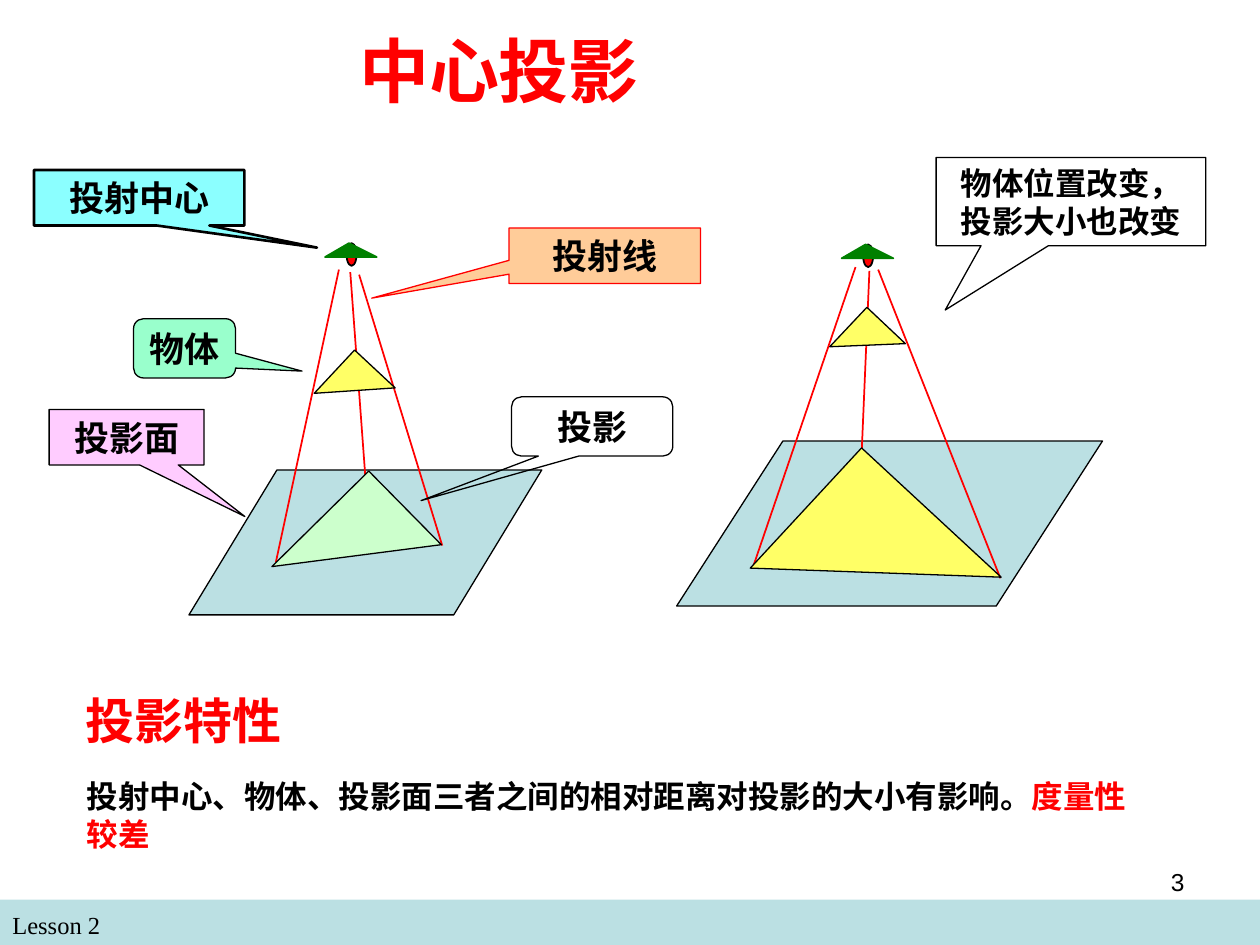
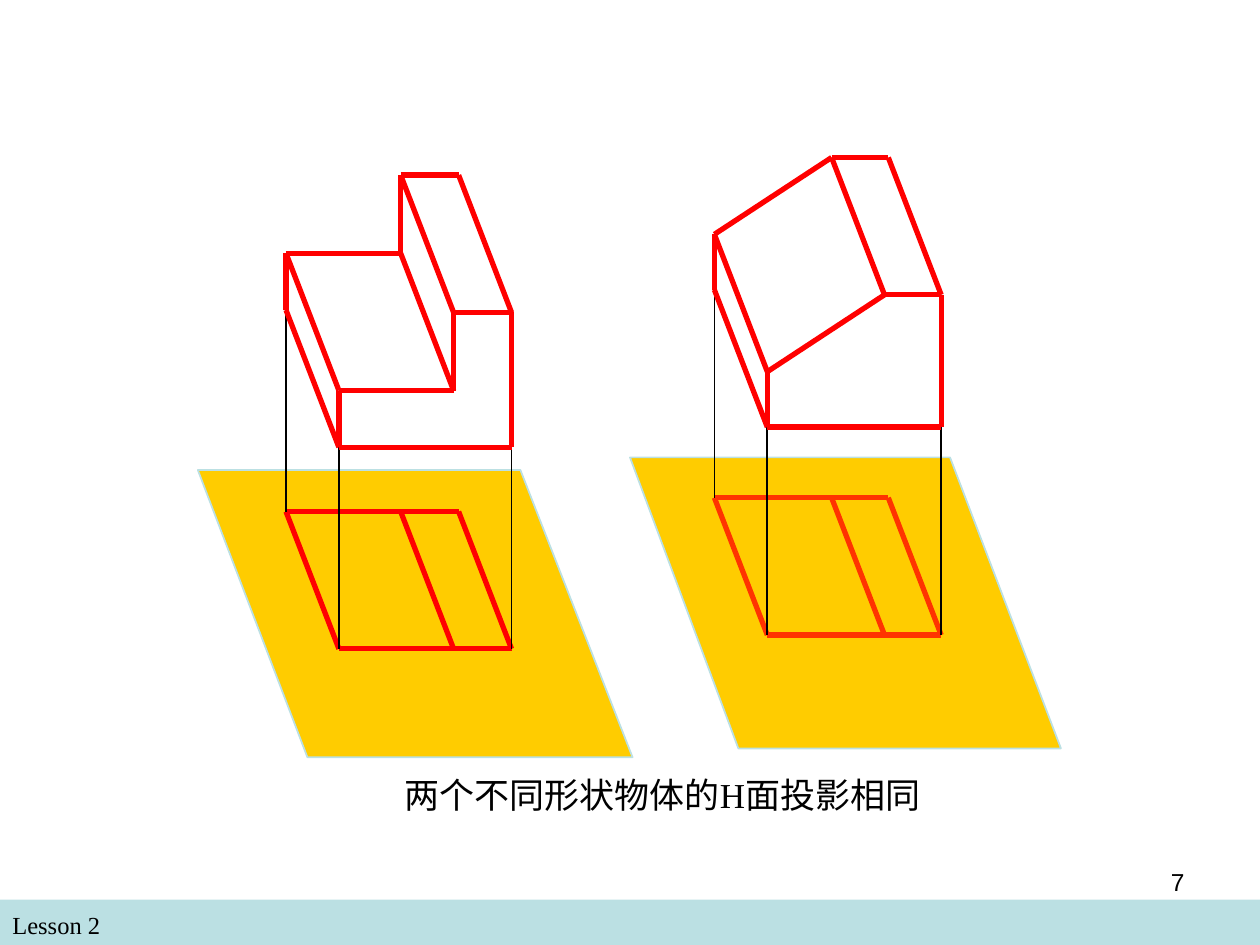
from dataclasses import dataclass
from itertools import pairwise
from typing import NamedTuple, Optional

from lxml.etree import SubElement
from pptx import Presentation
from pptx.dml.color import RGBColor
from pptx.enum.shapes import MSO_CONNECTOR, MSO_SHAPE
from pptx.enum.text import MSO_ANCHOR, MSO_AUTO_SIZE, PP_ALIGN
from pptx.oxml.ns import qn
from pptx.util import Inches, Pt

COLORS = {
    "black": "000000", "red": "FF0000", "orange_red": "FF3300", "green": "008000",
    "band": "BBE0E3", "yellow": "FFFF66", "mint": "CCFFCC", "gold": "FFCC00",
    "cyan": "8BFFFF", "peach": "FFCC99", "aqua": "99FFCC", "pink": "FFCCFF",
}
SERIF, SANS = "Times New Roman", "Arial"
DEPTH = (0.42, 1.09)


class Point(NamedTuple):
    x: float
    y: float

    def deeper(self) -> "Point":
        return Point(self.x + DEPTH[0], self.y + DEPTH[1])


class Box(NamedTuple):
    left: float
    top: float
    width: float
    height: float

    def lengths(self) -> list:
        return [Inches(value) for value in self]


class Run(NamedTuple):
    text: str
    size: float
    color: str = "black"
    bold: bool = False
    font: str = SERIF


@dataclass
class Triangle:
    box: Box
    rotation: float
    fill: str


@dataclass
class CentralProjection:
    lamp: Point
    plane: Box
    slant: float
    rays: list[tuple[Point, Point]]
    image: Triangle
    body: Triangle


@dataclass
class Callout:
    text: str
    box: Box
    adjustments: tuple
    fill: Optional[str] = None
    line: str = "black"
    line_width: float = 0.75
    size: float = 20
    wrap: bool = True


@dataclass
class Solid:
    """A prism seen from above; profile runs along the rear face, bottom left first."""
    profile: list[Point]
    footprint_top: float
    footprint_color: str
    plane: list[Point]


SCENES = [
    CentralProjection(
        Point(6.68, 1.94), Box(5.37, 3.5, 3.38, 1.31), 0.644,
        [(Point(6.9, 2.15), Point(6.82, 4.04)), (Point(6.79, 2.12), Point(5.98, 4.49)),
         (Point(6.97, 2.14), Point(7.94, 4.59))],
        Triangle(Box(6.3, 3.79, 1.3, 1.51), 132.8, "yellow"),
        Triangle(Box(6.67, 2.53, 0.43, 0.42), 133.3, "yellow")),
    CentralProjection(
        Point(2.58, 1.93), Box(1.5, 3.73, 2.8, 1.15), 0.607,
        [(Point(2.69, 2.14), Point(2.19, 4.46)), (Point(2.85, 2.18), Point(3.51, 4.33)),
         (Point(2.78, 2.16), Point(2.94, 4.33))],
        Triangle(Box(2.29, 4, 1.08, 0.82), 135.4, "mint"),
        Triangle(Box(2.58, 2.88, 0.47, 0.44), 133, "yellow")),
]

CALLOUTS = [
    Callout("物体位置改变，投影大小也改变", Box(7.43, 1.25, 2.14, 0.7), (-0.466, 1.23), size=18),
    Callout("投射线", Box(4.04, 1.81, 1.52, 0.44), (-1.217, 0.765), "peach", "red"),
    Callout("投射中心", Box(0.27, 1.35, 1.67, 0.44), (0.845, 0.899), "cyan", line_width=1.5),
    Callout("物体", Box(1.06, 2.53, 0.81, 0.47), (1.151, 0.385, 0.167), "aqua", wrap=False),
    Callout("投影面", Box(0.39, 3.25, 1.23, 0.44), (0.763, 1.43), "pink"),
    Callout("投影", Box(4.06, 3.15, 1.28, 0.47), (-1.061, 1.252, 0.167)),
]

SOLIDS = [
    Solid([Point(2.27, 2.46), Point(2.27, 2.01), Point(3.18, 2.01), Point(3.18, 1.39),
           Point(3.64, 1.39)], 4.06, "red",
          [Point(2.44, 6.01), Point(5.02, 6.01), Point(4.13, 3.73), Point(1.57, 3.73)]),
    Solid([Point(5.67, 2.3), Point(5.67, 1.86), Point(6.6, 1.25), Point(7.05, 1.25)],
          3.95, "orange_red",
          [Point(5.86, 5.94), Point(8.42, 5.94), Point(7.54, 3.63), Point(5, 3.63)]),
]


def rgb(name: str) -> RGBColor:
    return RGBColor.from_string(COLORS[name])


def style_shape(shape, fill: Optional[str], line: Optional[str], width: float = 0.75) -> None:
    shape.shadow.inherit = False
    if fill:
        shape.fill.solid()
        shape.fill.fore_color.rgb = rgb(fill)
    else:
        shape.fill.background()
    if line:
        shape.line.color.rgb = rgb(line)
        shape.line.width = Pt(width)
    else:
        shape.line.fill.background()


def write(shape, runs: list[Run], align=PP_ALIGN.LEFT, anchor=MSO_ANCHOR.TOP,
          wrap: bool = True) -> None:
    frame = shape.text_frame
    frame_format = {"word_wrap": wrap, "auto_size": MSO_AUTO_SIZE.NONE,
                    "vertical_anchor": anchor}
    for name, value in frame_format.items():
        setattr(frame, name, value)
    paragraph = frame.paragraphs[0]
    paragraph.alignment = align
    for item in runs:
        run = paragraph.add_run()
        run.text = item.text
        font_format = {"name": item.font, "size": Pt(item.size), "bold": item.bold}
        for name, value in font_format.items():
            setattr(run.font, name, value)
        run.font.color.rgb = rgb(item.color)


def add_text(slide, box: Box, runs: list[Run], **layout) -> None:
    write(slide.shapes.add_textbox(*box.lengths()), runs, **layout)


def add_preset(slide, kind, box: Box, fill: Optional[str], line: Optional[str],
               width: float = 0.75, adjustments: tuple = (), rotation: float = 0):
    shape = slide.shapes.add_shape(kind, *box.lengths())
    style_shape(shape, fill, line, width)
    for index, value in enumerate(adjustments):
        shape.adjustments[index] = value
    shape.rotation = rotation
    return shape


def add_line(slide, start: Point, end: Point, color: str, width: float) -> None:
    ends = [Inches(value) for value in (*start, *end)]
    connector = slide.shapes.add_connector(MSO_CONNECTOR.STRAIGHT, *ends)
    connector.line.color.rgb = rgb(color)
    connector.line.width = Pt(width)
    SubElement(connector._element.spPr, qn("a:effectLst"))


def add_polygon(slide, points: list[Point], fill: str, line: str, width: float) -> None:
    first, *others = [(Inches(point.x), Inches(point.y)) for point in points]
    builder = slide.shapes.build_freeform(*first)
    builder.add_line_segments(others, close=True)
    style_shape(builder.convert_to_shape(), fill, line, width)


def add_footer(slide, number: int) -> None:
    add_preset(slide, MSO_SHAPE.RECTANGLE, Box(0, 7.14, 10, 0.36), "band", None)
    add_text(slide, Box(0, 7.17, 4.83, 0.34), [Run("Lesson 2", 14)])
    add_text(slide, Box(7.17, 6.83, 2.33, 0.52), [Run(str(number), 14, font=SANS)],
             align=PP_ALIGN.RIGHT)


def add_triangle(slide, triangle: Triangle) -> None:
    add_preset(slide, MSO_SHAPE.RIGHT_TRIANGLE, triangle.box, triangle.fill, "black",
               rotation=triangle.rotation)


def add_scene(slide, scene: CentralProjection) -> None:
    left, top = scene.lamp
    add_preset(slide, MSO_SHAPE.OVAL, Box(left + 0.17, top, 0.08, 0.18), "red", "black", 1)
    add_preset(slide, MSO_SHAPE.ISOSCELES_TRIANGLE, Box(left, top, 0.41, 0.11),
               "green", "green", 1, (0.463,))
    add_preset(slide, MSO_SHAPE.PARALLELOGRAM, scene.plane, "band", "black",
               adjustments=(scene.slant,))
    for start, end in scene.rays:
        add_line(slide, start, end, "red", 1)
    add_triangle(slide, scene.image)
    add_triangle(slide, scene.body)


def add_callout(slide, callout: Callout) -> None:
    rounded = len(callout.adjustments) == 3
    kind = MSO_SHAPE.ROUNDED_RECTANGULAR_CALLOUT if rounded else MSO_SHAPE.RECTANGULAR_CALLOUT
    shape = add_preset(slide, kind, callout.box, callout.fill, callout.line,
                       callout.line_width, callout.adjustments)
    write(shape, [Run(callout.text, callout.size, bold=True)], PP_ALIGN.CENTER,
          MSO_ANCHOR.MIDDLE, callout.wrap)


def add_solid(slide, solid: Solid) -> None:
    """Draw a prism, its footprint on the plane and the projectors between them."""
    rear = solid.profile
    front = [point.deeper() for point in rear]
    add_polygon(slide, solid.plane, "gold", "band", 1)

    rear_floor = [Point(point.x, solid.footprint_top) for point in (rear[0], rear[-2], rear[-1])]
    front_floor = [point.deeper() for point in rear_floor]
    footprint = [(rear_floor[0], rear_floor[-1]), (front_floor[0], front_floor[-1]),
                 *zip(rear_floor, front_floor)]
    for start, end in footprint:
        add_line(slide, start, end, solid.footprint_color, 3)

    projectors = [(rear[1], rear_floor[0]), (front[1], front_floor[0]),
                  (front[-1], front_floor[-1])]
    for start, end in projectors:
        add_line(slide, start, end, "black", 1)

    front_outline = [*front, Point(front[-1].x, front[0].y), front[0]]
    for start, end in [*pairwise(rear), *pairwise(front_outline), *zip(rear, front)]:
        add_line(slide, start, end, "red", 3)


def build_central_projection(presentation) -> None:
    slide = presentation.slides.add_slide(presentation.slide_layouts[5])
    title = slide.shapes.title
    title_box = Box(2.75, 0.17, 2.64, 0.77)
    for name, value in zip(title_box._fields, title_box.lengths()):
        setattr(title, name, value)
    write(title, [Run("中心投影", 40, "red", True)])
    add_footer(slide, 3)
    add_text(slide, Box(0.58, 5.43, 1.89, 0.57), [Run("投影特性", 28, "red", True)],
             anchor=MSO_ANCHOR.MIDDLE)
    add_text(slide, Box(0.59, 6.12, 8.49, 0.7),
             [Run("投射中心、物体、投影面三者之间的相对距离对投影的大小有影响。", 18, bold=True),
              Run("度量性较差", 18, "red", True)], anchor=MSO_ANCHOR.MIDDLE)
    for scene in SCENES:
        add_scene(slide, scene)
    for callout in CALLOUTS:
        add_callout(slide, callout)


def build_equal_footprints(presentation) -> None:
    slide = presentation.slides.add_slide(presentation.slide_layouts[6])
    add_footer(slide, 7)
    for solid in SOLIDS:
        add_solid(slide, solid)
    add_text(slide, Box(3.11, 6.09, 4.5, 0.44), [Run("两个不同形状物体的H面投影相同", 20)])


def main() -> None:
    presentation = Presentation()
    presentation.slide_width = Inches(10)
    presentation.slide_height = Inches(7.5)
    build_central_projection(presentation)
    build_equal_footprints(presentation)
    presentation.save("out.pptx")


if __name__ == "__main__":
    main()
